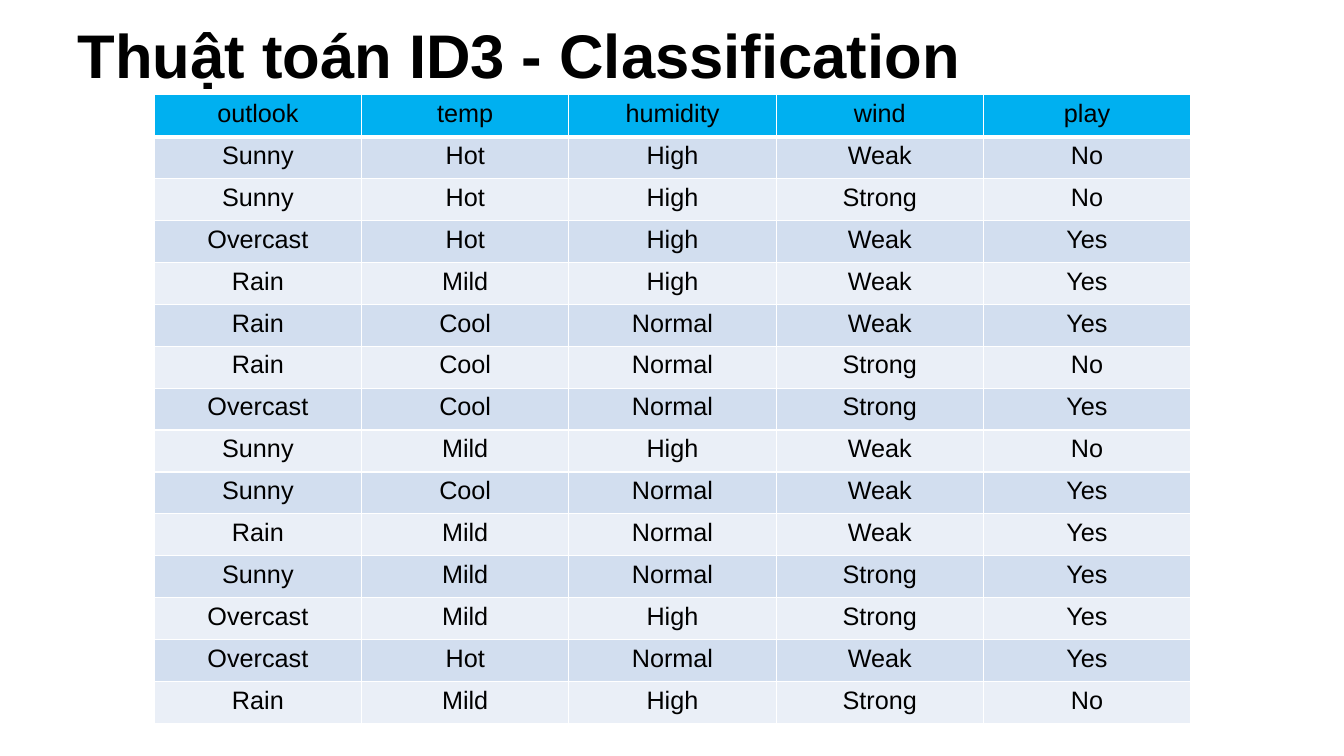
import pptx
import pptx.dml.color
import pptx.enum.text
import pptx.util
from lxml import etree
from pptx.oxml.ns import qn

Inches = pptx.util.Inches
Pt = pptx.util.Pt
RGBColor = pptx.dml.color.RGBColor

BLACK = RGBColor(0x00, 0x00, 0x00)
WHITE = RGBColor(0xFF, 0xFF, 0xFF)
HEADER_BLUE = RGBColor(0x00, 0xB0, 0xF0)
BAND_DARK = RGBColor(0xD2, 0xDE, 0xEF)
BAND_LIGHT = RGBColor(0xEA, 0xEF, 0xF7)

FONT = "Arial"
TITLE = "Thuật toán ID3 - Classification"
WEATHER = [
    ("outlook", "temp", "humidity", "wind", "play"),
    ("Sunny", "Hot", "High", "Weak", "No"),
    ("Sunny", "Hot", "High", "Strong", "No"),
    ("Overcast", "Hot", "High", "Weak", "Yes"),
    ("Rain", "Mild", "High", "Weak", "Yes"),
    ("Rain", "Cool", "Normal", "Weak", "Yes"),
    ("Rain", "Cool", "Normal", "Strong", "No"),
    ("Overcast", "Cool", "Normal", "Strong", "Yes"),
    ("Sunny", "Mild", "High", "Weak", "No"),
    ("Sunny", "Cool", "Normal", "Weak", "Yes"),
    ("Rain", "Mild", "Normal", "Weak", "Yes"),
    ("Sunny", "Mild", "Normal", "Strong", "Yes"),
    ("Overcast", "Mild", "High", "Strong", "Yes"),
    ("Overcast", "Hot", "Normal", "Weak", "Yes"),
    ("Rain", "Mild", "High", "Strong", "No"),
]


def add_run(paragraph, text, size, bold=False):
    run = paragraph.add_run()
    run.text = text
    run.font.name = FONT
    run.font.size = Pt(size)
    run.font.bold = bold
    run.font.color.rgb = BLACK


def add_title(slide):
    title = slide.shapes.add_textbox(Inches(0.67), Inches(0.21), Inches(12), Inches(0.64))
    frame = title.text_frame
    frame.word_wrap = True
    frame.vertical_anchor = pptx.enum.text.MSO_ANCHOR.MIDDLE
    add_run(frame.paragraphs[0], TITLE, 44, bold=True)


def set_borders(cell, top, bottom):
    properties = cell._tc.get_or_add_tcPr()
    for side, width in (("L", 1), ("R", 1), ("T", top), ("B", bottom)):
        line = etree.SubElement(properties, qn(f"a:ln{side}"), w=str(Pt(width)))
        fill = etree.SubElement(line, qn("a:solidFill"))
        etree.SubElement(fill, qn("a:srgbClr"), val=str(WHITE))


def fill_cell(cell, text, row):
    cell.margin_left = cell.margin_right = cell.margin_top = Inches(0.01)
    cell.margin_bottom = Inches(0.05)
    cell.vertical_anchor = pptx.enum.text.MSO_ANCHOR.MIDDLE
    set_borders(cell, top=3 if row == 1 else 1, bottom=3 if row == 0 else 1)
    cell.fill.solid()
    band = BAND_DARK if row % 2 else BAND_LIGHT
    cell.fill.fore_color.rgb = band if row else HEADER_BLUE
    paragraph = cell.text_frame.paragraphs[0]
    paragraph.alignment = pptx.enum.text.PP_ALIGN.CENTER
    add_run(paragraph, text, 18)


def add_weather_table(slide):
    weather_table = slide.shapes.add_table(
        len(WEATHER), len(WEATHER[0]), Inches(1.53), Inches(0.94), Inches(10.28), Inches(6.24)
    ).table
    for row, values in enumerate(WEATHER):
        for column, value in enumerate(values):
            fill_cell(weather_table.cell(row, column), value, row)


def main():
    presentation = pptx.Presentation()
    presentation.slide_width = Inches(13.33)
    presentation.slide_height = Inches(7.5)
    slide = presentation.slides.add_slide(presentation.slide_layouts[6])
    add_title(slide)
    add_weather_table(slide)
    presentation.save("out.pptx")


if __name__ == "__main__":
    main()
